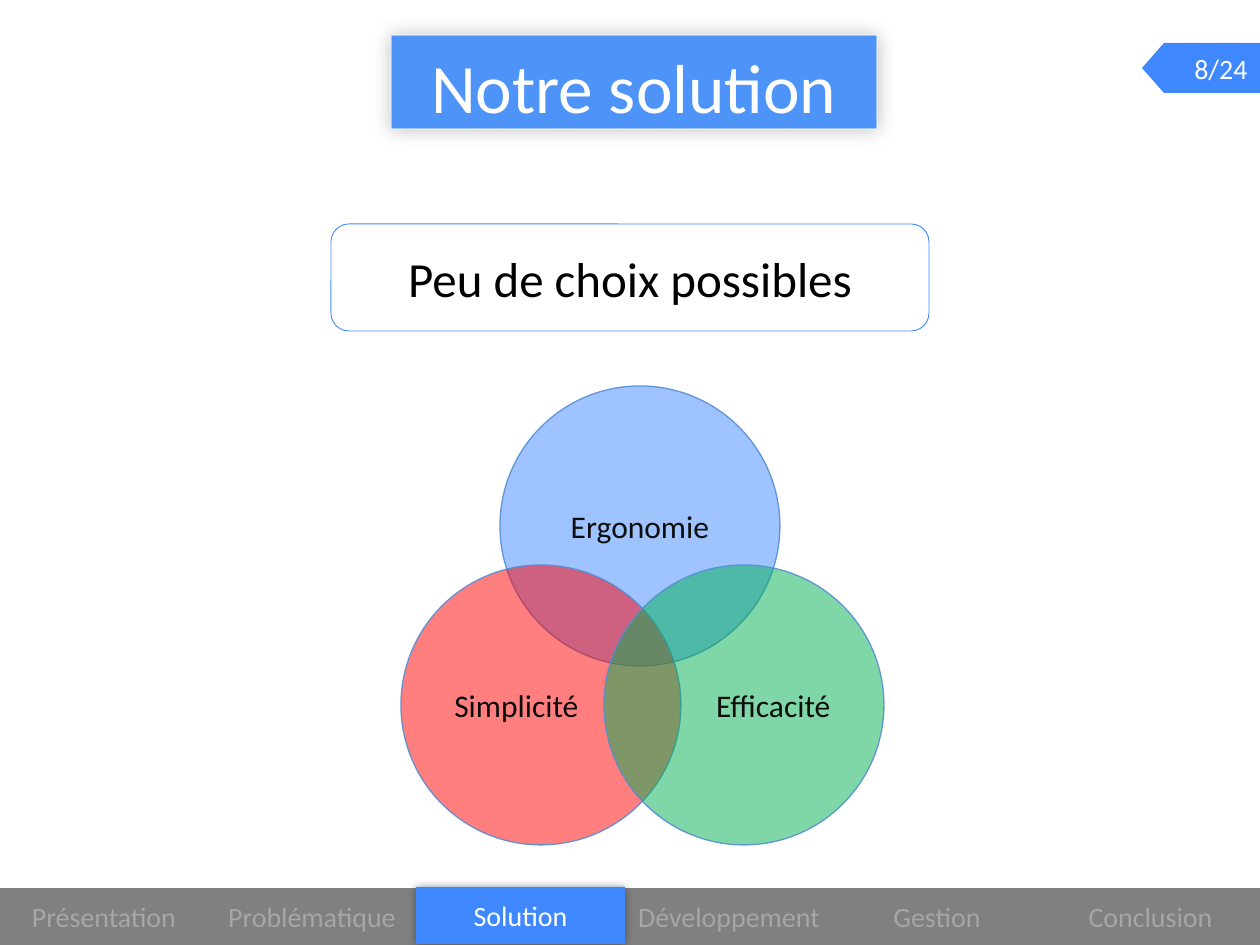
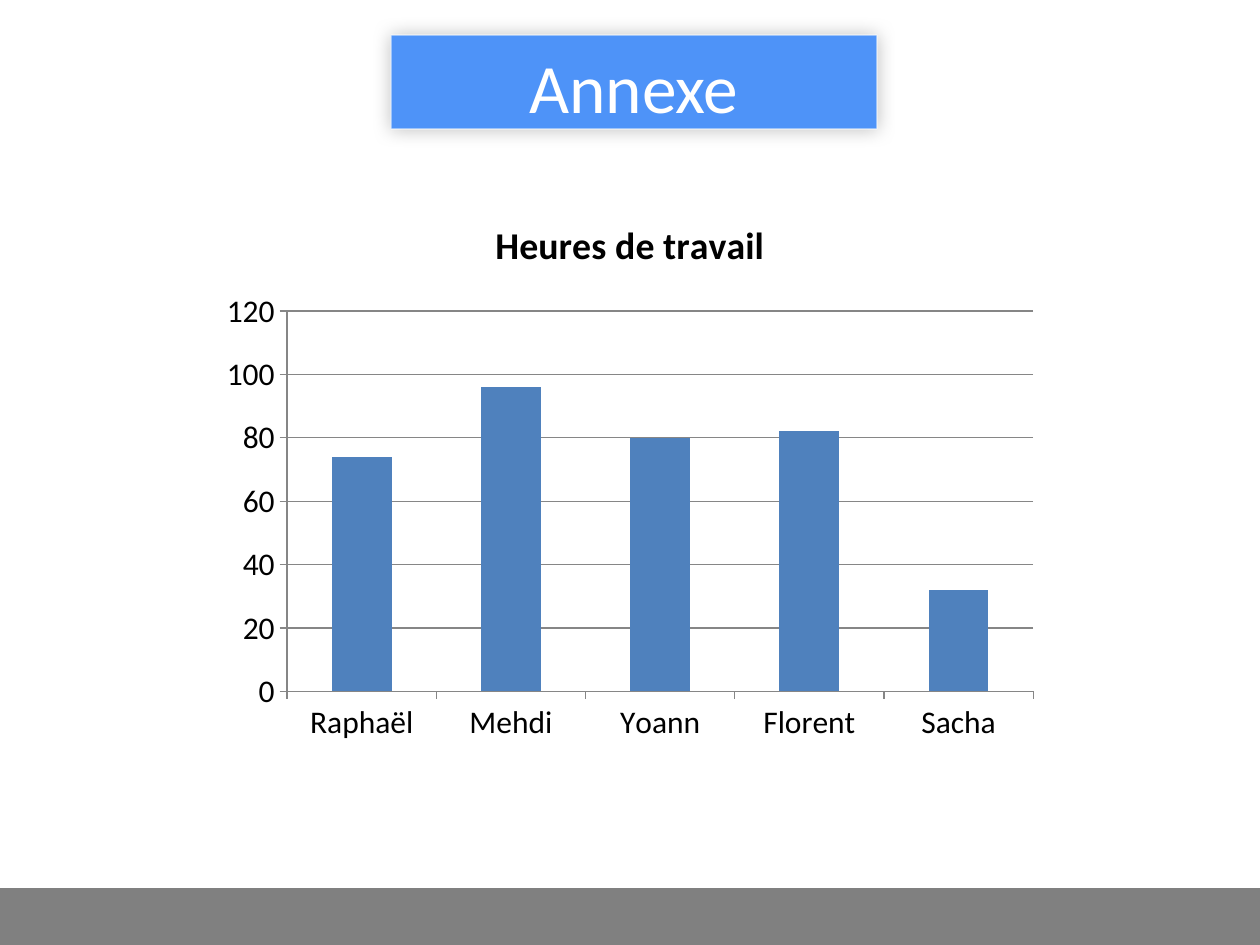
"""Builds the solution slide and the working-hours appendix."""
from lxml import etree
from pptx import Presentation
from pptx.chart.data import CategoryChartData
from pptx.dml.color import RGBColor
from pptx.enum.chart import XL_CHART_TYPE, XL_TICK_MARK
from pptx.enum.shapes import MSO_SHAPE
from pptx.enum.text import MSO_ANCHOR, MSO_AUTO_SIZE, PP_ALIGN
from pptx.oxml.ns import qn
from pptx.util import Inches, Pt

RECT, ROUND, OVAL = MSO_SHAPE.RECTANGLE, MSO_SHAPE.ROUNDED_RECTANGLE, MSO_SHAPE.OVAL
LEFT, CENTER, RIGHT = PP_ALIGN.LEFT, PP_ALIGN.CENTER, PP_ALIGN.RIGHT
MIDDLE, NO_FIT = MSO_ANCHOR.MIDDLE, MSO_AUTO_SIZE.NONE
COLUMNS, TICK_OUT = XL_CHART_TYPE.COLUMN_CLUSTERED, XL_TICK_MARK.OUTSIDE

PX = 7257
FONT = "Calibri"
BLUE, TITLE_BLUE, RING = "3F88FF", "4E93F8", "558ED5"
RED, GREEN, BAR = "FF0000", "00B050", "4F81BD"
BLACK, INK, WHITE = "000000", "0D0D0D", "FFFFFF"
GREY, PALE, AXIS = "808080", "A6A6A6", "868686"
rgb = RGBColor.from_string


def paint(s, fill=None, alpha=100, line=None, pt=0.75, line_alpha=100, shadow=None):
    """Sets fill, outline and an optional (blur, opacity) shadow."""
    pr = s.element.spPr
    s.shadow.inherit = False
    if fill:
        s.fill.solid()
        s.fill.fore_color.rgb = rgb(fill)
        clr = pr.find(qn("a:solidFill")).find(qn("a:srgbClr"))
        etree.SubElement(clr, qn("a:alpha"), val=str(alpha * 1000))
    else:
        s.fill.background()
    if line:
        s.line.color.rgb = rgb(line)
        s.line.width = Pt(pt)
        clr = pr.find(qn("a:ln")).find(qn("a:solidFill")).find(qn("a:srgbClr"))
        etree.SubElement(clr, qn("a:alpha"), val=str(line_alpha * 1000))
    else:
        s.line.fill.background()
    if shadow:
        blur, opacity = shadow
        outer = etree.SubElement(pr.find(qn("a:effectLst")), qn("a:outerShdw"),
                                 blurRad=str(Pt(blur)), dist="0", dir="0",
                                 algn="ctr", rotWithShape="0")
        clr = etree.SubElement(outer, qn("a:srgbClr"), val=BLACK)
        etree.SubElement(clr, qn("a:alpha"), val=str(opacity * 1000))


def write(s, text, size, color, align=CENTER):
    """Puts one formatted, vertically centred paragraph in a shape."""
    tf = s.text_frame
    tf.text = text
    tf.word_wrap = True
    tf.auto_size = NO_FIT
    tf.vertical_anchor = MIDDLE
    p = tf.paragraphs[0]
    p.alignment = align
    font = p.runs[0].font
    font.name, font.size, font.color.rgb = FONT, Pt(size), rgb(color)


prs = Presentation()
prs.slide_width, prs.slide_height = Inches(10), Inches(7.5)
layout = prs.slide_layouts[5]
solution, annex = [prs.slides.add_slide(layout) for _ in range(2)]

band = solution.shapes.add_shape(RECT, 0, 888 * PX, prs.slide_width, 57 * PX)
paint(band, GREY)
layout.shapes.element.insert(2, band.element)

for slide, text in ((solution, "Notre solution"), (annex, "Annexe")):
    title = slide.shapes.title
    title.left, title.top, title.width, title.height = 391 * PX, 35 * PX, 486 * PX, 94 * PX
    paint(title, TITLE_BLUE, line=WHITE, line_alpha=70, shadow=(11, 25))
    write(title, text, 39.6, WHITE)
    title.text_frame.margin_top, title.text_frame.margin_bottom = 7 * PX, 0

box = solution.shapes.add_shape(ROUND, 331 * PX, 224 * PX, 598 * PX, 107 * PX)
paint(box, line=BLUE, pt=0.5)
write(box, "Peu de choix possibles", 28, BLACK)

circles = (
    ("Ergonomie", 500, 386, BLUE, CENTER),
    ("Simplicité", 401, 565, RED, LEFT),
    ("Efficacité", 604, 565, GREEN, RIGHT),
)
for text, x, y, color, align in circles:
    circle = solution.shapes.add_shape(OVAL, x * PX, y * PX, 280 * PX, 280 * PX)
    paint(circle, color, 50, RING, line_alpha=90)
    write(circle, text, 18, INK, align)

tabs = ("Présentation", "Problématique", "Solution", "Développement", "Gestion", "Conclusion")
edges = [1250 * i // 6 for i in range(6)] + [1260]
for text, x, end in zip(tabs, edges, edges[1:]):
    if text == "Solution":
        tab = solution.shapes.add_shape(RECT, x * PX, 887 * PX, (end - x) * PX, 57 * PX)
        paint(tab, BLUE, shadow=(5, 40))
        write(tab, text, 16, WHITE)
    else:
        tab = solution.shapes.add_textbox(x * PX, 888 * PX, (end - x) * PX, 57 * PX)
        write(tab, text, 16, PALE)

outline = solution.shapes.build_freeform(1164, 43, scale=PX)
outline.add_line_segments([(1260, 43), (1260, 93), (1164, 93), (1142, 68)])
page = outline.convert_to_shape()
paint(page, BLUE)
write(page, "8/24", 16, WHITE, RIGHT)

data = CategoryChartData()
data.categories = ["Raphaël", "Mehdi", "Yoann", "Florent", "Sacha"]
data.add_series("Heures de travail", (74, 96, 80, 82, 32))
chart = annex.shapes.add_chart(COLUMNS, 210 * PX, 193 * PX, 840 * PX, 560 * PX, data).chart
chart.font.name, chart.font.size, chart.font.color.rgb = FONT, Pt(18), rgb(BLACK)
chart.has_legend = False
chart.has_title = True
chart.chart_title.include_in_layout = False
p = chart.chart_title.text_frame.paragraphs[0]
p.text = "Heures de travail"
font = p.runs[0].font
font.name, font.size, font.bold, font.color.rgb = FONT, Pt(21.6), True, rgb(BLACK)

plot = chart.plots[0]
plot.gap_width = 150
plot.vary_by_categories = False
bars = plot.series[0].format.fill
bars.solid()
bars.fore_color.rgb = rgb(BAR)

values = chart.value_axis
values.minimum_scale, values.maximum_scale, values.major_unit = 0, 120, 20
for axis in (chart.category_axis, values):
    axis.major_tick_mark = TICK_OUT
    axis.format.line.color.rgb = rgb(AXIS)
values.has_major_gridlines = True
values.major_gridlines.format.line.color.rgb = rgb(AXIS)

prs.save("out.pptx")
